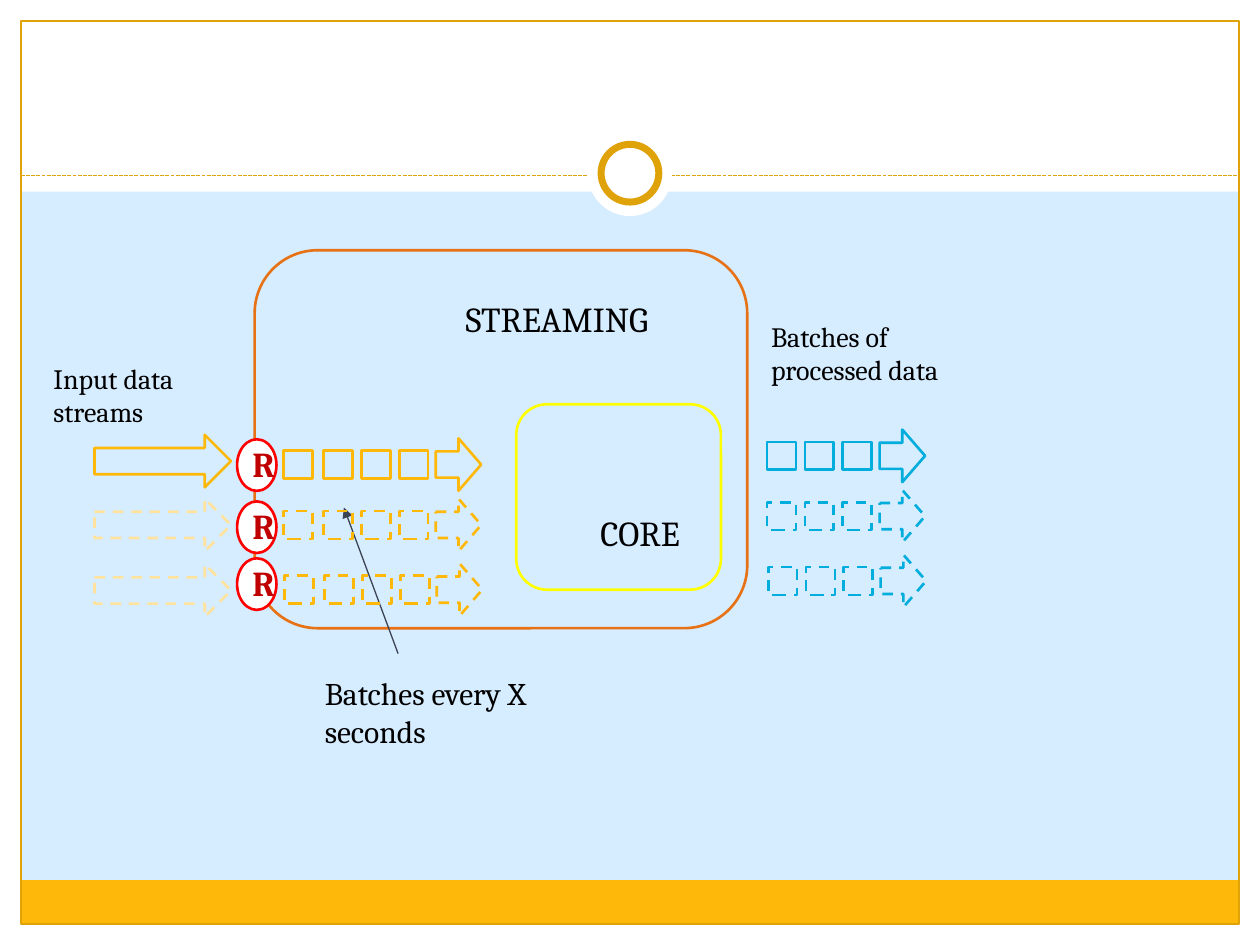
"""Build a slide showing how data streams are cut into batches and processed."""
from lxml import etree
from pptx import Presentation
from pptx.dml.color import RGBColor
from pptx.enum.dml import MSO_LINE
from pptx.enum.shapes import MSO_CONNECTOR, MSO_SHAPE
from pptx.oxml.ns import qn
from pptx.util import Pt

RECT, ELLIPSE = MSO_SHAPE.RECTANGLE, MSO_SHAPE.OVAL
ROUNDED, ARROW = MSO_SHAPE.ROUNDED_RECTANGLE, MSO_SHAPE.RIGHT_ARROW
STRAIGHT = MSO_CONNECTOR.STRAIGHT
DASH, DOTTED = MSO_LINE.DASH, MSO_LINE.SQUARE_DOT
WHITE = RGBColor(0xFF, 0xFF, 0xFF)
BLACK = RGBColor(0, 0, 0)
SKY = RGBColor(0xD6, 0xEC, 0xFF)
GOLD = RGBColor(0xE0, 0xA2, 0x09)
AMBER = RGBColor(0xFE, 0xB8, 0x0A)
PALE_AMBER = RGBColor(0xFF, 0xE3, 0x9D)
ORANGE = RGBColor(0xE7, 0x72, 0x15)
YELLOW = RGBColor(0xFF, 0xFF, 0x00)
CYAN = RGBColor(0x00, 0xAD, 0xDC)
RED = RGBColor(0xFF, 0x00, 0x00)
DARK_RED = RGBColor(0xC0, 0x00, 0x00)
SLATE = RGBColor(0x3B, 0x44, 0x53)

deck = Presentation()
deck.slide_width, deck.slide_height = Pt(720), Pt(540)
page = deck.slides.add_slide(deck.slide_layouts[6])
page.background.fill.solid()
page.background.fill.fore_color.rgb = SKY


def add_figure(kind, left, top, width, height, fill=None, line=None, weight=1.5, dash=None):
    shape = page.shapes.add_shape(kind, Pt(left), Pt(top), Pt(width), Pt(height))
    shape.shadow.inherit = False
    if fill is None:
        shape.fill.background()
    else:
        shape.fill.solid()
        shape.fill.fore_color.rgb = fill
    if line is None:
        shape.line.fill.background()
    else:
        shape.line.color.rgb = line
        shape.line.width = Pt(weight)
        shape.line.dash_style = dash


def add_label(text, left, top, width, height, size, color=BLACK, bold=False):
    box = page.shapes.add_textbox(Pt(left), Pt(top), Pt(width), Pt(height))
    box.text_frame.word_wrap = True
    span = box.text_frame.paragraphs[0].add_run()
    span.text = text
    span.font.color.rgb = color
    for name, value in {"name": "Cambria", "size": Pt(size), "bold": bold}.items():
        setattr(span.font, name, value)


for left, top, width, height, fill in [
    (0, 528, 720, 12, WHITE),
    (0, 0, 720, 109.5, WHITE),
    (0, 0, 12, 540, WHITE),
    (708, 0, 12, 540, WHITE),
    (12, 503, 696, 25, AMBER),
]:
    add_figure(RECT, left, top, width, height, fill)
add_figure(RECT, 12, 12, 696, 516, line=GOLD, weight=0.75)

divider = page.shapes.add_connector(STRAIGHT, Pt(12), Pt(100.5), Pt(708), Pt(100.5))
add_figure(ELLIPSE, 336, 75.5, 48, 48, WHITE)
add_figure(ELLIPSE, 343.5, 82.5, 33, 33, WHITE, GOLD, 4)

add_figure(ROUNDED, 145.5, 143, 281.5, 216, line=ORANGE)
add_figure(ROUNDED, 295, 231, 117, 106, line=YELLOW)
for label in [
    ("STREAMING", 259, 166.5, 138, 42, 20),
    ("CORE", 336, 288.5, 75, 42, 20),
    ("Input data streams", 23.5, 203, 127, 46, 16),
    ("Batches of processed data", 433.5, 179, 118, 66, 16),
    ("Batches every X seconds", 178.5, 381.5, 179, 51, 18),
]:
    add_label(*label)

pointer = page.shapes.add_connector(STRAIGHT, Pt(227.5), Pt(373.5), Pt(196.5), Pt(290))
for connector, color in [(divider, GOLD), (pointer, SLATE)]:
    connector.line.color.rgb = color
    connector.line.width = Pt(0.75)
    etree.SubElement(connector._element.spPr, qn("a:effectLst"))
divider.line.dash_style = DOTTED
etree.SubElement(pointer.line._get_or_add_ln(), qn("a:tailEnd"), type="triangle")

for input_top, receiver_top, batch_top, shift, input_color, dash in [
    (248.5, 251, 250.5, 0, AMBER, None),
    (285, 286.5, 285, 0, PALE_AMBER, DASH),
    (322.5, 319, 322, 0.6, PALE_AMBER, DASH),
]:
    add_figure(ARROW, 54, input_top, 78, 30, line=input_color, dash=dash)
    add_figure(ELLIPSE, 135.5, receiver_top, 22.5, 29.5, WHITE, RED)
    add_label("R", 137.2, receiver_top - 1.8, 32.5, 31.5, 20, DARK_RED, True)
    for square_lefts, arrow_left, top, color in [
        ((162, 185, 206.6, 228.2), 249, batch_top, AMBER),
        ((438.4, 460, 481.6), 502.6, batch_top - 5, CYAN),
    ]:
        for left in square_lefts:
            add_figure(RECT, left + shift, top + 7, 16.5, 16, line=color, dash=dash)
        add_figure(ARROW, arrow_left + shift, top, 26, 30, line=color, dash=dash)

deck.save("out.pptx")
